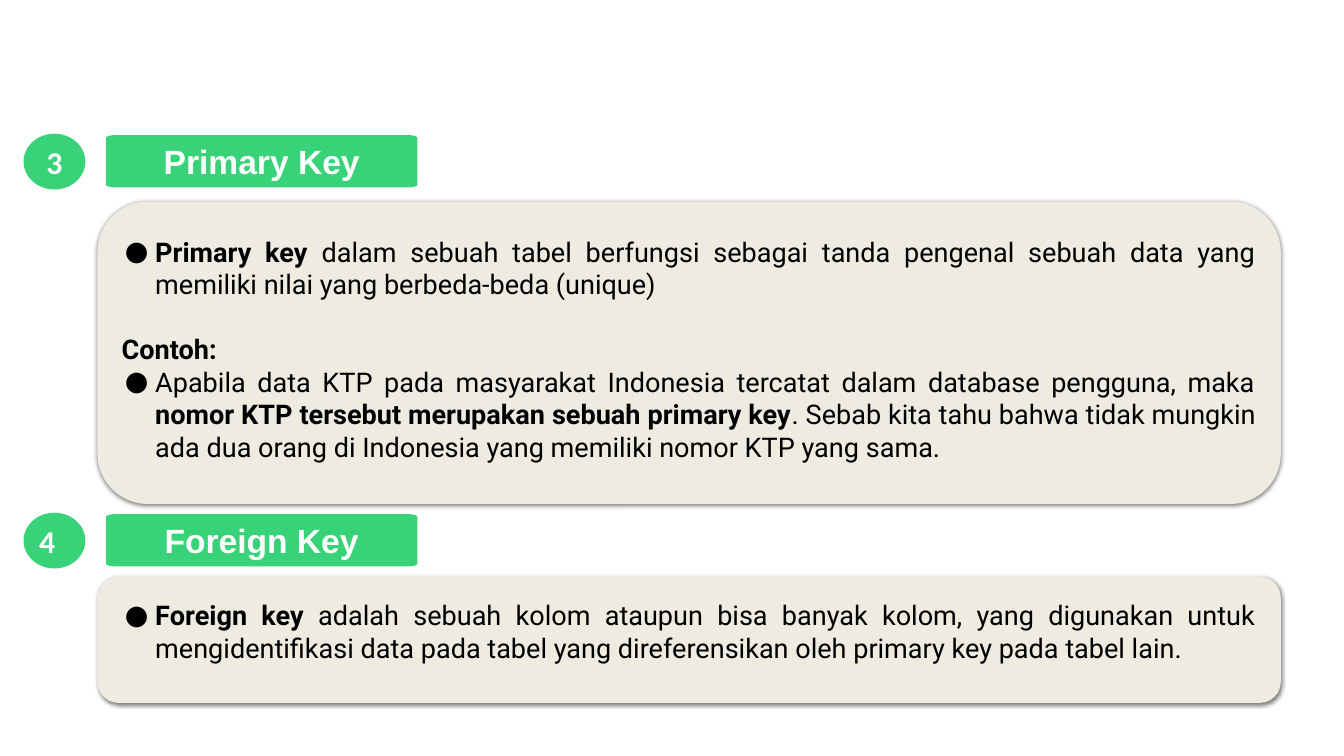
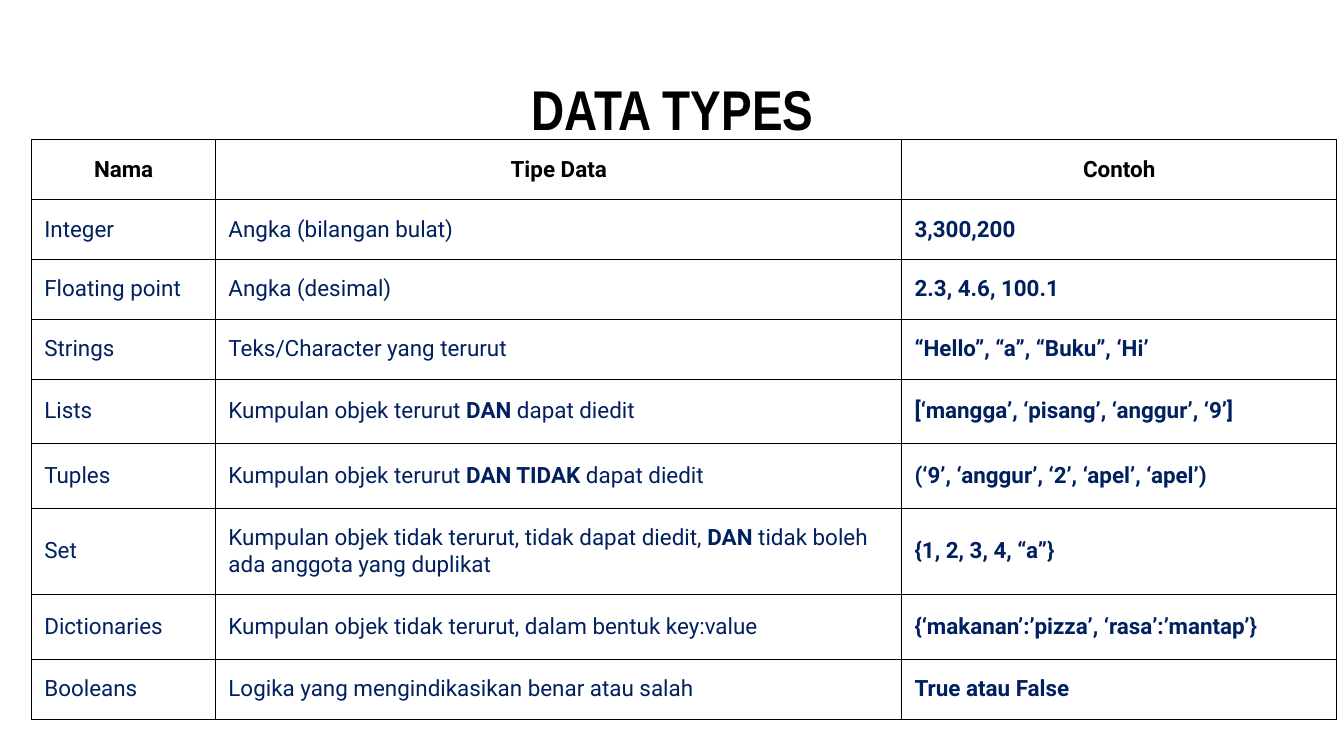
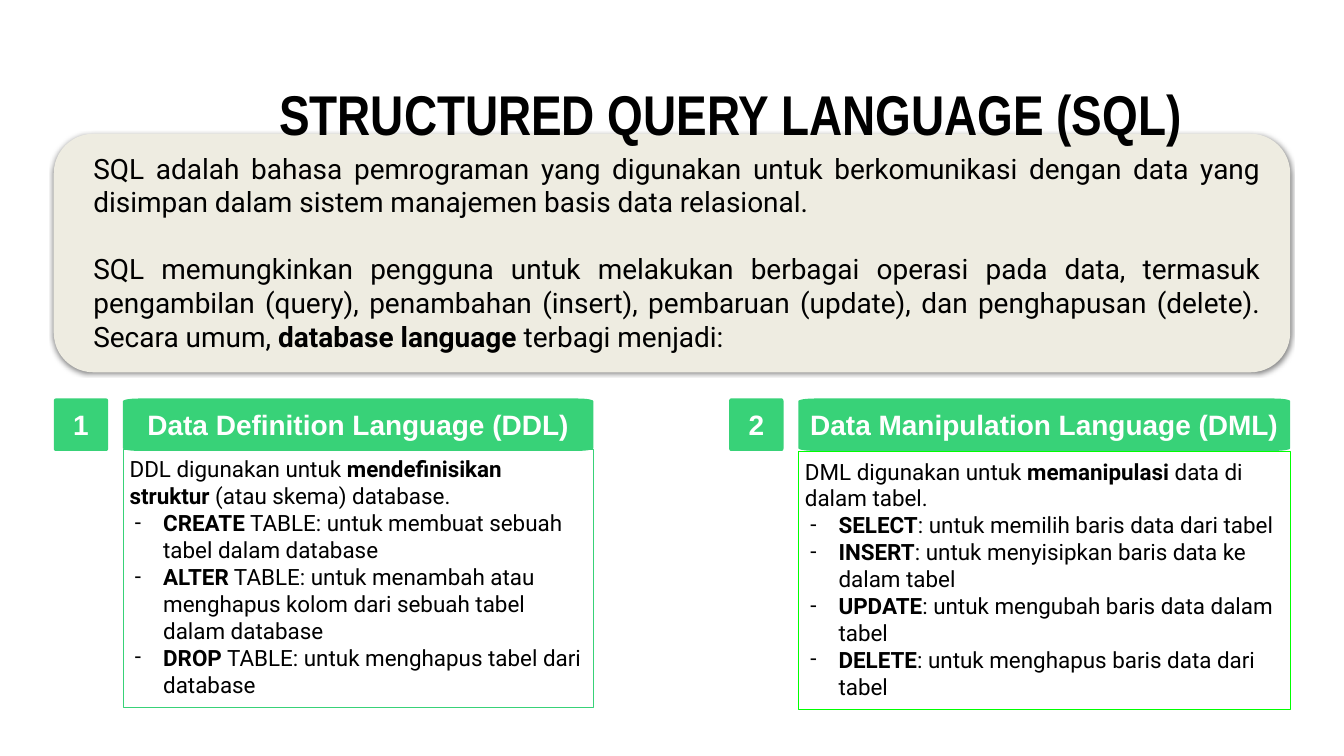
"""Build three slides on database keys, data types and SQL."""
import math
from dataclasses import dataclass

from lxml import etree
from pptx import Presentation
from pptx.dml.color import RGBColor
from pptx.enum.shapes import MSO_SHAPE
from pptx.enum.text import MSO_ANCHOR, MSO_AUTO_SIZE, PP_ALIGN
from pptx.oxml.ns import qn
from pptx.util import Inches, Pt

LEFT, MID, FULL = PP_ALIGN.LEFT, PP_ALIGN.CENTER, PP_ALIGN.JUSTIFY
TOP, CENTRE = MSO_ANCHOR.TOP, MSO_ANCHOR.MIDDLE
GROW = MSO_AUTO_SIZE.SHAPE_TO_FIT_TEXT
RECT, ROUND, OVAL = MSO_SHAPE.RECTANGLE, MSO_SHAPE.ROUNDED_RECTANGLE, MSO_SHAPE.OVAL


@dataclass(frozen=True)
class Theme:
    """Colours, fonts and type sizes."""
    green: str = "38D278"
    lime: str = "00FF00"
    cream: str = "EEECE1"
    navy: str = "002060"
    black: str = "000000"
    white: str = "FFFFFF"
    body: str = "Roboto"
    head: str = "Arial"
    title: str = "Arial Narrow"
    badge: str = "Calibri"
    huge: int = 60
    label: int = 36
    digit: int = 34
    lead: int = 30
    text: int = 29
    small: int = 24
    line: float = 0.75
    bar: float = 0.78


T = Theme()
WIDE, HIGH = 20, 11.25
UNIT = Inches(1)

KEYS = [
    {"no": "3", "name": "Primary Key", "top": 2.01, "align": MID,
     "panel": (3, 4.5), "text": (3.3, 3.82), "lines": [
         ("●", "**Primary key **dalam sebuah tabel berfungsi sebagai tanda pengenal "
               "sebuah data yang memiliki nilai yang berbeda-beda (unique)"),
         ("gap", "**Contoh:**"),
         ("●", "Apabila data KTP pada masyarakat Indonesia tercatat dalam database "
               "pengguna, maka **nomor KTP tersebut merupakan sebuah primary key**. "
               "Sebab kita tahu bahwa tidak mungkin ada dua orang di Indonesia yang "
               "memiliki nomor KTP yang sama.")]},
    {"no": "4", "name": "Foreign Key", "top": 7.65, "align": LEFT,
     "panel": (8.58, 1.88), "text": (8.71, 1.38), "lines": [
         ("●", "**Foreign key** adalah sebuah kolom ataupun bisa banyak kolom, yang "
               "digunakan untuk mengidentifikasi data pada tabel yang direferensikan "
               "oleh primary key pada tabel lain.")]},
]

TYPES = [
    ("Nama", "Tipe Data", "Contoh"),
    ("Integer", "Angka (bilangan bulat)", "3,300,200"),
    ("Floating point", "Angka (desimal)", "2.3, 4.6, 100.1"),
    ("Strings", "Teks/Character yang terurut", "“Hello”, “a”, “Buku”, ‘Hi’"),
    ("Lists", "Kumpulan objek terurut **DAN** dapat diedit",
     "[‘mangga’, ‘pisang’, ‘anggur’, ‘9’]"),
    ("Tuples", "Kumpulan objek terurut **DAN TIDAK **dapat diedit",
     "(‘9’, ‘anggur’, ‘2’, ‘apel’, ‘apel’)"),
    ("Set", "Kumpulan objek tidak terurut, tidak dapat diedit, **DAN** tidak boleh "
            "ada anggota yang duplikat", "{1, 2, 3, 4, “a”}"),
    ("Dictionaries", "Kumpulan objek tidak terurut, dalam bentuk key:value",
     "{‘makanan’:’pizza’, ‘rasa’:’mantap’}"),
    ("Booleans", "Logika yang mengindikasikan benar atau salah", "True atau False"),
]
COLS = (2.74, 10.21, 6.47)
ROWS = (0.89,) * 4 + (0.96, 0.96, 1.29, 0.96, 0.89)

INTRO = [
    ("", "SQL adalah bahasa pemrograman yang digunakan untuk berkomunikasi dengan "
         "data yang disimpan dalam sistem manajemen basis data relasional."),
    ("gap", "SQL memungkinkan pengguna untuk melakukan berbagai operasi pada data, "
            "termasuk pengambilan (query), penambahan (insert), pembaruan (update), dan "
            "penghapusan (delete). Secara umum, **database language** terbagi menjadi:"),
]
PARTS = [
    {"no": "1", "name": "Data Definition Language (DDL)", "left": 0.8, "width": 7,
     "top": 6.68, "edge": T.green, "lines": [
         ("", "DDL digunakan untuk **mendefinisikan struktur** (atau skema) database."),
         ("-", "**CREATE** TABLE: untuk membuat sebuah tabel dalam database"),
         ("-", "**ALTER** TABLE: untuk menambah atau menghapus kolom dari sebuah "
               "tabel dalam database"),
         ("-", "**DROP** TABLE: untuk menghapus tabel dari database")]},
    {"no": "2", "name": "Data Manipulation Language (DML)", "left": 10.85, "width": 7.32,
     "top": 6.71, "edge": T.lime, "lines": [
         ("", "DML digunakan untuk **memanipulasi** data di dalam tabel."),
         ("-", "**SELECT**: untuk memilih baris data dari tabel"),
         ("-", "**INSERT**: untuk menyisipkan baris data ke dalam tabel"),
         ("-", "**UPDATE**: untuk mengubah baris data dalam tabel"),
         ("-", "**DELETE**: untuk menghapus baris data dari tabel")]},
]


def rgb(code):
    return RGBColor.from_string(code)


def grid(*spans):
    return [round(span * UNIT) for span in spans]


def node(root, tag, **attrs):
    return etree.SubElement(root, qn(tag), {key: str(val) for key, val in attrs.items()})


def bullet(para, mark, hang):
    props = para._p.get_or_add_pPr()
    props.set("marL", str(Inches(0.5)))
    props.set("indent", str(-Inches(hang)))
    node(node(props, "a:buClr"), "a:srgbClr", val=T.black)
    node(props, "a:buFont", typeface=T.body)
    node(props, "a:buChar", char=mark)


def write(frame, lines, size, font=T.body, color=T.black, align=LEFT,
          bold=False, hang=0.45, pad=(0.1, 0.1)):
    """Fill a frame with (mark, text) lines; ** switches bold."""
    frame.word_wrap = True
    frame.margin_left = frame.margin_right = Inches(pad[0])
    frame.margin_top = frame.margin_bottom = Inches(pad[1])
    for at, (mark, text) in enumerate(lines):
        para = frame.add_paragraph() if at else frame.paragraphs[0]
        if mark == "gap":
            para.space_before = Pt(1.2 * size)
        elif mark:
            bullet(para, mark, hang)
        para.alignment = align
        for turn, part in enumerate(text.split("**")):
            if part:
                run = para.add_run()
                run.text = part
                run.font.name, run.font.size = font, Pt(size)
                run.font.bold = bold or turn % 2 == 1
                run.font.color.rgb = rgb(color)


def paint(shape, fill=None, edge=None):
    shape.shadow.inherit = False
    if fill:
        shape.fill.solid()
        shape.fill.fore_color.rgb = rgb(fill)
    else:
        shape.fill.background()
    if edge:
        shape.line.color.rgb = rgb(edge)
        shape.line.width = Pt(T.line)
    else:
        shape.line.fill.background()


def panel(slide, *spot):
    shape = slide.shapes.add_shape(ROUND, *grid(*spot))
    paint(shape, T.cream)
    glow = node(shape._element.spPr.find(qn("a:effectLst")), "a:outerShdw",
                blurRad=Pt(4.5), dist=Pt(1.5), dir=5400000, rotWithShape=0)
    node(node(glow, "a:srgbClr", val=T.black), "a:alpha", val=50000)


def note(slide, spot, lines, size, **style):
    frame = slide.shapes.add_textbox(*grid(*spot)).text_frame
    write(frame, lines, size, **style)
    frame.auto_size = GROW
    return frame


def title(slide, spot, text):
    frame = note(slide, spot, [("", text)], T.huge, font=T.title,
                 align=MID, bold=True, pad=(0, 0))
    frame.paragraphs[0].line_spacing = 1.4


def label(shape, text, size, font=T.head, align=MID):
    paint(shape, T.green)
    shape.text_frame.vertical_anchor = CENTRE
    write(shape.text_frame, [("", text)], size, font, T.white, align, True)


def banner(slide, left, top, width, text, size):
    """Draw a bar with flat elliptical corners."""
    flat, tall, steps = width / 30, 0.04, 6
    points = []
    for turn in range(4):
        right, low = turn in (0, 3), turn in (0, 1)
        mid = left + (width - flat if right else flat)
        base = top + (T.bar - tall if low else tall)
        for step in range(steps + 1):
            angle = (turn + step / steps) * math.pi / 2
            points.append(grid(mid + flat * math.cos(angle),
                               base + tall * math.sin(angle)))
    pen = slide.shapes.build_freeform(*points[0])
    pen.add_line_segments(points[1:], close=True)
    label(pen.convert_to_shape(), text, size)


def keys(slide):
    for key in KEYS:
        top, height = key["panel"]
        panel(slide, 1.45, top, 17.61, height)
        top, height = key["text"]
        note(slide, (1.61, top, 17.29, height), key["lines"], T.text,
             align=FULL, pad=(0.2, 0.2))
        banner(slide, 1.58, key["top"], 4.63, key["name"], T.label)
        disc = slide.shapes.add_shape(OVAL, *grid(0.35, key["top"] - 0.02, 0.92, 0.83))
        label(disc, key["no"], T.digit, T.badge, key["align"])


def border(cell):
    props = cell._tc.get_or_add_tcPr()
    for side in "LRTB":
        line = node(props, f"a:ln{side}", w=Pt(T.line))
        node(node(line, "a:solidFill"), "a:srgbClr", val=T.black)


def types(slide):
    table = slide.shapes.add_table(len(ROWS), len(COLS), *grid(
        0.47, 2.08, sum(COLS), sum(ROWS))).table
    table.first_row = table.horz_banding = False
    for col, width in zip(table.columns, COLS):
        col.width = Inches(width)
    for at, (height, texts) in enumerate(zip(ROWS, TYPES)):
        table.rows[at].height = Inches(height)
        for col, text in enumerate(texts):
            cell = table.cell(at, col)
            border(cell)
            cell.fill.background()
            cell.vertical_anchor = CENTRE
            if at:
                style = {"color": T.navy, "bold": col == 2}
                pad = (0.19, 0.19)
            else:
                style = {"align": MID, "bold": True}
                pad = (0.27, 0.13)
            write(cell.text_frame, [("", text)], T.small, **style)
            cell.margin_left = cell.margin_right = Inches(pad[0])
            cell.margin_top = cell.margin_bottom = Inches(pad[1])
    title(slide, (4.27, 0.71, 11.47, 1.01), "DATA TYPES")


def language(slide):
    panel(slide, 0.8, 1.99, 18.4, 3.55)
    title(slide, (4.06, 0.78, 13.63, 1.01), "STRUCTURED QUERY LANGUAGE (SQL)")
    note(slide, (1.29, 2.15, 17.58, 3.23), INTRO, T.lead, align=FULL)
    for part in PARTS:
        left, width = part["left"] + 1.03, part["width"]
        frame = slide.shapes.add_shape(RECT, *grid(left, part["top"], width, 3.84))
        paint(frame, edge=part["edge"])
        frame.text_frame.vertical_anchor = TOP
        write(frame.text_frame, part["lines"], T.small, hang=0.42)
        frame.text_frame.auto_size = GROW
        banner(slide, part["left"], 5.93, 0.81, part["no"], T.lead)
        banner(slide, left, 5.93, width, part["name"], T.lead)


def main():
    deck = Presentation()
    deck.slide_width, deck.slide_height = grid(WIDE, HIGH)
    for draw in (keys, types, language):
        draw(deck.slides.add_slide(deck.slide_layouts[6]))
    deck.save("out.pptx")


if __name__ == "__main__":
    main()
